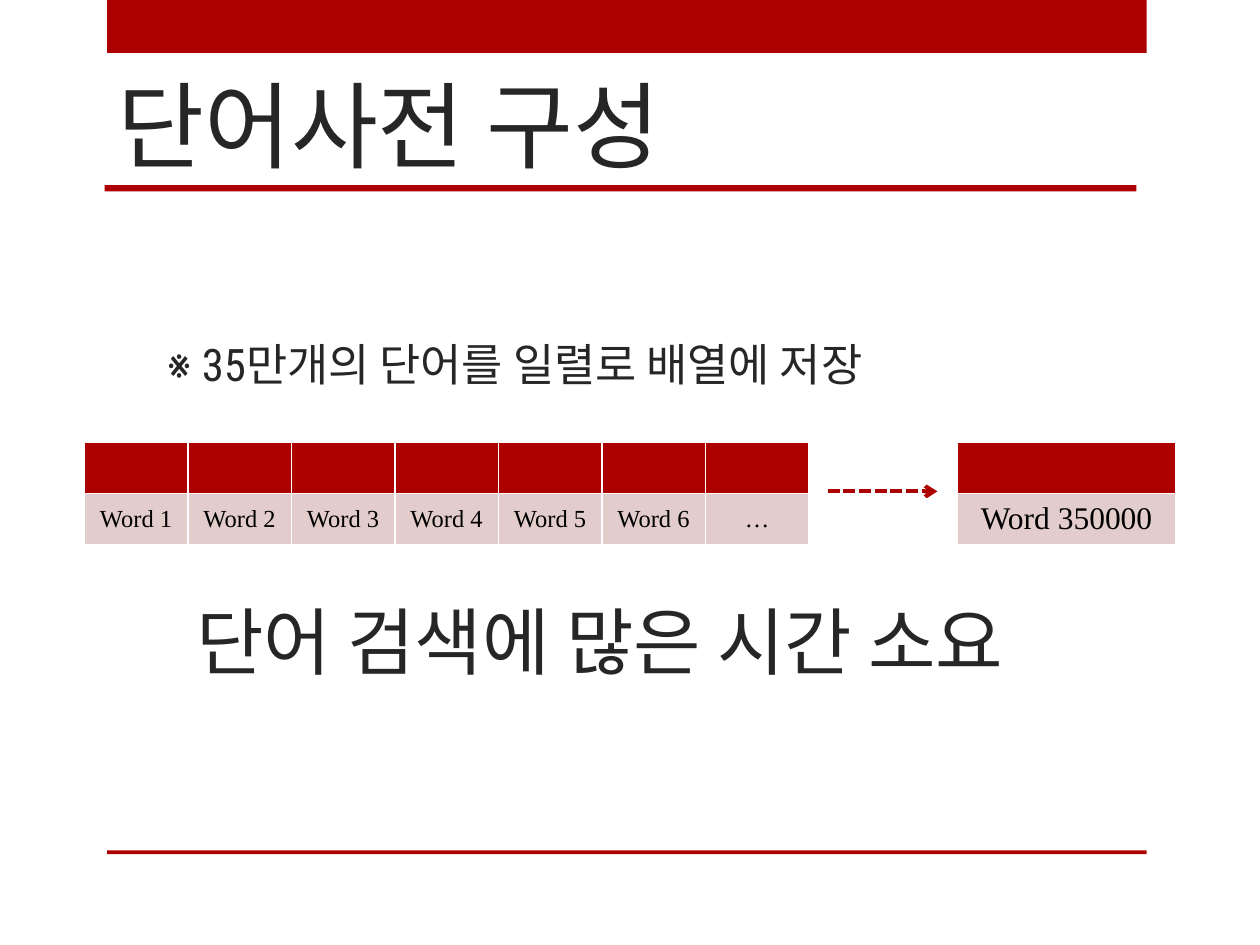
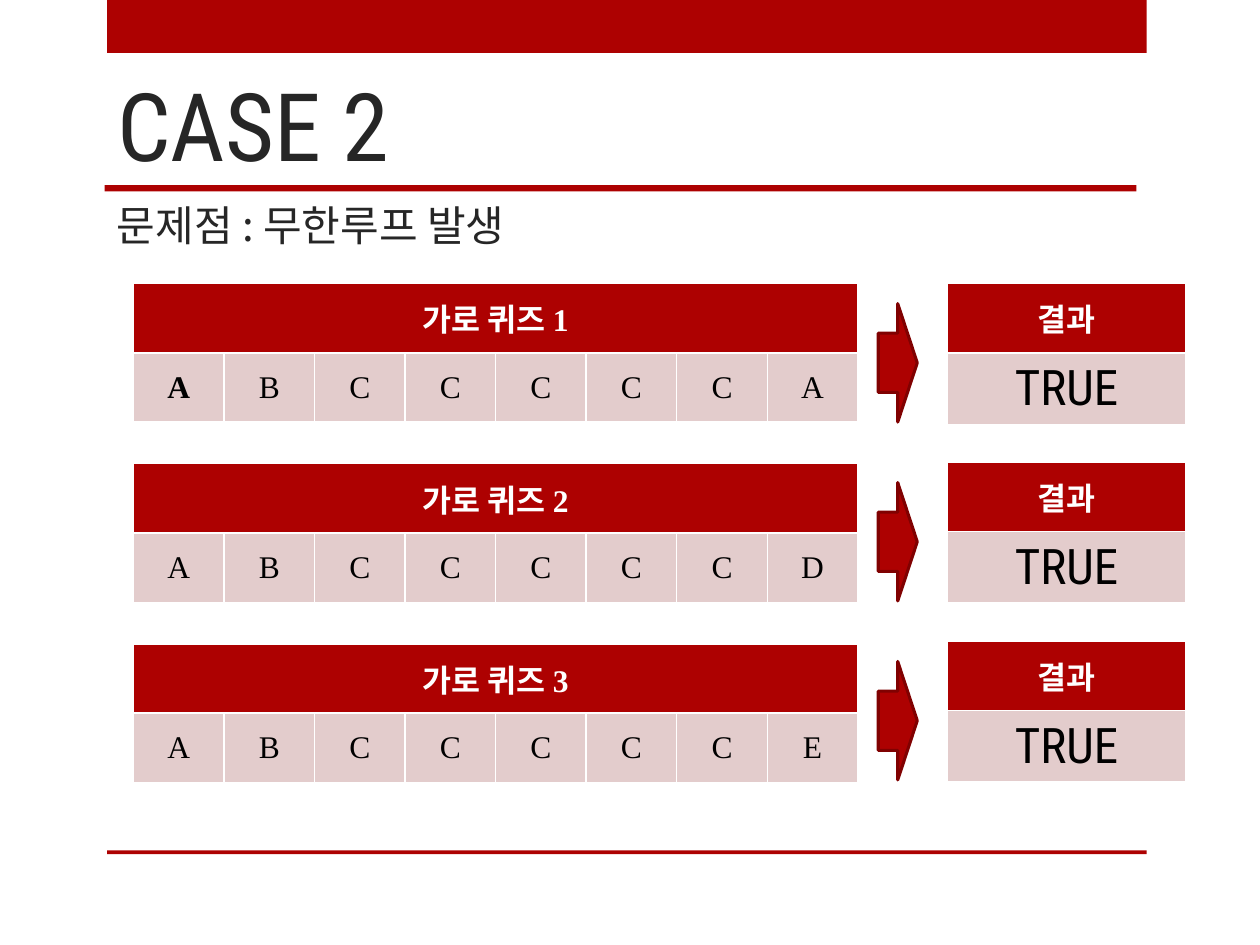
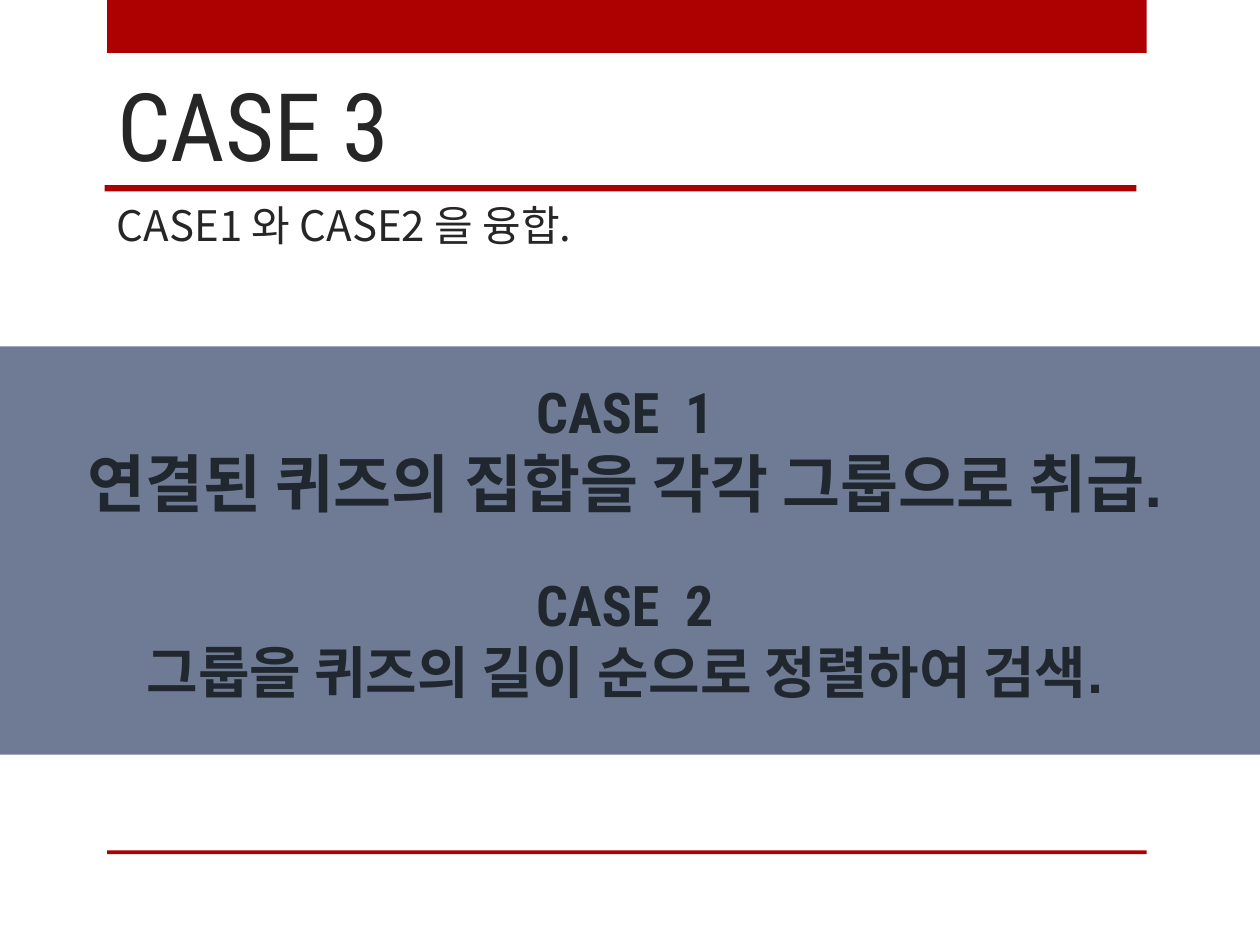
from dataclasses import dataclass
from typing import Any, Optional

import lxml.etree
import pptx
import pptx.dml.color
import pptx.enum.dml
import pptx.enum.shapes
import pptx.enum.text
import pptx.oxml.ns
import pptx.util

# Shared style
COLORS = {
    "red": "AD0101", "dark_red": "800101", "pink": "E3CCCC",
    "ink": "262626", "slate": "5A6885", "night": "21272E",
    "halo": "FDFCFC", "white": "FFFFFF", "black": "000000",
}
HEAD, SERIF, SANS, HANGUL = (
    "Roboto Condensed", "Times New Roman", "Arial", "Noto Sans CJK KR")
SHAPE = pptx.enum.shapes.MSO_SHAPE
ANCHOR = pptx.enum.text.MSO_ANCHOR
ALIGN = pptx.enum.text.PP_ALIGN
qn = pptx.oxml.ns.qn

# The slide is a grid of square cells
COLUMNS, ROWS = 100, 75
CELL = pptx.util.Inches(10) // COLUMNS


@dataclass(frozen=True)
class Box:
    left: float
    top: float
    width: float
    height: float

    def emu(self) -> tuple[int, ...]:
        return tuple(round(n * CELL) for n in
                     (self.left, self.top, self.width, self.height))


@dataclass(frozen=True)
class Style:
    size: float
    font: str = HEAD
    color: str = "ink"
    bold: bool = False
    outline: Optional[str] = None


@dataclass(frozen=True)
class Line:
    text: str
    style: Style


TITLE = Style(54)
SUBTITLE = Style(24, HANGUL)
TABLE_HEAD = Style(18, SERIF, "white", True)
TABLE_BODY = Style(18, SERIF, "black")
TABLE_BOLD = Style(18, SERIF, "black", True)
SMALL_BODY = Style(14, SERIF, "black")
RESULT = Style(28, HEAD, "black")
CASE_NAME = Style(32, HEAD, "night", True, "halo")

TITLE_BOX = Box(8.3, -2.7, 74.2, 17.5)
SUBTITLE_BOX = Box(8.3, 11.5, 88.6, 8.8)
TITLE_RULE = Box(8.3, 14.7, 81.9, 0.5)
MASTER_BANDS = [Box(8.5, 0, 82.5, 4.2), Box(8.5, 67.5, 82.5, 0.3)]


def rgb(name: str) -> pptx.dml.color.RGBColor:
    return pptx.dml.color.RGBColor.from_string(COLORS[name])


def write(tf: Any, lines: list[Line], align: Any = ALIGN.LEFT) -> None:
    for i, line in enumerate(lines):
        p = tf.add_paragraph() if i else tf.paragraphs[0]
        p.alignment = align
        r = p.add_run()
        r.text = line.text
        style = line.style
        r.font.size = pptx.util.Pt(style.size)
        r.font.bold = style.bold
        r.font.color.rgb = rgb(style.color)
        r.font.name = style.font
        rpr = r._r.get_or_add_rPr()
        lxml.etree.SubElement(rpr, qn("a:ea"), typeface=HANGUL)
        if style.outline:
            ln = lxml.etree.Element(qn("a:ln"), w=str(pptx.util.Pt(1)))
            fill = lxml.etree.SubElement(ln, qn("a:solidFill"))
            lxml.etree.SubElement(fill, qn("a:srgbClr"),
                                  val=COLORS[style.outline])
            rpr.insert(0, ln)


def add_text(s: Any, box: Box, lines: list[Line],
             align: Any = ALIGN.LEFT) -> None:
    tf = s.shapes.add_textbox(*box.emu()).text_frame
    tf.word_wrap = True
    tf.vertical_anchor = ANCHOR.BOTTOM
    write(tf, lines, align)


def add_block(s: Any, box: Box, fill: str, kind: Any = SHAPE.RECTANGLE,
              line: Optional[str] = None) -> Any:
    sp = s.shapes.add_shape(kind, *box.emu())
    sp.shadow.inherit = False
    sp.fill.solid()
    sp.fill.fore_color.rgb = rgb(fill)
    if line:
        sp.line.color.rgb = rgb(line)
        sp.line.width = pptx.util.Pt(1.75)
    else:
        sp.line.fill.background()
    return sp


def add_grid(s: Any, box: Box, head: Optional[Line],
             body: list[Line]) -> None:
    """A red header row over a row of pink cells."""
    table = s.shapes.add_table(2, len(body), *box.emu()).table
    for row, fill in zip(table.rows, ("red", "pink")):
        for cell in row.cells:
            cell.fill.solid()
            cell.fill.fore_color.rgb = rgb(fill)
            cell.vertical_anchor = ANCHOR.MIDDLE
    if head:
        if len(body) > 1:
            table.cell(0, 0).merge(table.cell(0, len(body) - 1))
        write(table.cell(0, 0).text_frame, [head], ALIGN.CENTER)
    for cell, line in zip(table.rows[1].cells, body):
        write(cell.text_frame, [line], ALIGN.CENTER)


def add_dashed_arrow(s: Any, left: float, right: float, y: float) -> None:
    ends = [round(n * CELL) for n in (left, y, right, y)]
    cxn = s.shapes.add_connector(
        pptx.enum.shapes.MSO_CONNECTOR.STRAIGHT, *ends)
    cxn.line.color.rgb = rgb("red")
    cxn.line.width = pptx.util.Pt(2.25)
    cxn.line.dash_style = pptx.enum.dml.MSO_LINE.SQUARE_DOT
    sp_pr = cxn.element.spPr
    lxml.etree.SubElement(sp_pr.find(qn("a:ln")), qn("a:tailEnd"),
                          type="arrow")
    lxml.etree.SubElement(sp_pr, qn("a:effectLst"))


def prepare_layout(layout: Any, s: Any) -> None:
    """Place the title and move the bands into the shared layout."""
    title = layout.placeholders[0]
    title.left, title.top, title.width, title.height = TITLE_BOX.emu()
    title.text_frame.vertical_anchor = ANCHOR.BOTTOM
    tree = title.element.getparent()
    for i, box in enumerate(MASTER_BANDS):
        tree.insert(2 + i, add_block(s, box, "red").element)


def start_slide(s: Any, title: str, subtitle: str = "") -> None:
    add_block(s, TITLE_RULE, "red")
    write(s.shapes.title.text_frame, [Line(title, TITLE)])
    if subtitle:
        add_text(s, SUBTITLE_BOX, [Line(subtitle, SUBTITLE)])


def build_dictionary(s: Any) -> None:
    start_slide(s, "단어사전 구성")
    words = [f"Word {n}" for n in range(1, 7)] + ["…"]
    add_grid(s, Box(6.7, 35.1, 57.5, 8.1), None,
             [Line(word, SMALL_BODY) for word in words])
    add_grid(s, Box(76, 35.1, 17.3, 8.1), None,
             [Line("Word 350000", TABLE_BODY)])
    add_dashed_arrow(s, 65.7, 74.4, 39)
    add_text(s, Box(14.6, 45.9, 74.2, 8.9),
             [Line("단어 검색에 많은 시간 소요", Style(41.9))])
    add_text(s, Box(12.3, 26.8, 76.4, 4.7),
             [Line("※ 35만개의 단어를 일렬로 배열에 저장", Style(25.6))])


def build_case_2(s: Any) -> None:
    start_slide(s, "CASE 2", "문제점 : 무한루프 발생")
    for i, letters in enumerate(("ABCCCCCA", "ABCCCCCD", "ABCCCCCE")):
        body = [Line(c, TABLE_BODY) for c in letters]
        if i == 0:
            body[0] = Line(letters[0], TABLE_BOLD)
        add_grid(s, Box(10.6, 22.5 + 14.3 * i, 57.5, 11),
                 Line(f"가로 퀴즈 {i + 1}", TABLE_HEAD), body)
        add_block(s, Box(69.7, 24.1 + 14.2 * i, 3.1, 9.4), "red",
                  SHAPE.RIGHT_ARROW, "dark_red")
        add_grid(s, Box(75.2, 22.5 + 14.2 * i, 18.9, 11),
                 Line("결과", TABLE_HEAD), [Line("TRUE", RESULT)])


def build_case_3(s: Any) -> None:
    # Translucent panel behind both cases
    panel = add_block(s, Box(-4.3, 27.5, 110.2, 32.4), "slate")
    color = panel.element.spPr.find(".//" + qn("a:srgbClr"))
    lxml.etree.SubElement(color, qn("a:alpha"), val="87000")
    start_slide(s, "CASE 3", "CASE1 와 CASE2 을 융합.")
    cases = [("CASE  1", "연결된 퀴즈의 집합을 각각 그룹으로 취급.", 36),
             ("CASE  2", "그룹을 퀴즈의 길이 순으로 정렬하여 검색.", 32)]
    for i, (name, text, size) in enumerate(cases):
        detail = Style(size, SANS, "night", True, "halo")
        add_text(s, Box(-0.8, 29.6 + 14.6 * i, 100.8, 12.2),
                 [Line(name, CASE_NAME), Line(text, detail)], ALIGN.CENTER)


def main() -> None:
    prs = pptx.Presentation()
    prs.slide_width, prs.slide_height = COLUMNS * CELL, ROWS * CELL
    layout = prs.slide_layouts[5]
    for i, build in enumerate((build_dictionary, build_case_2, build_case_3)):
        s = prs.slides.add_slide(layout)
        if i == 0:
            prepare_layout(layout, s)
        build(s)
    prs.save("out.pptx")


if __name__ == "__main__":
    main()
